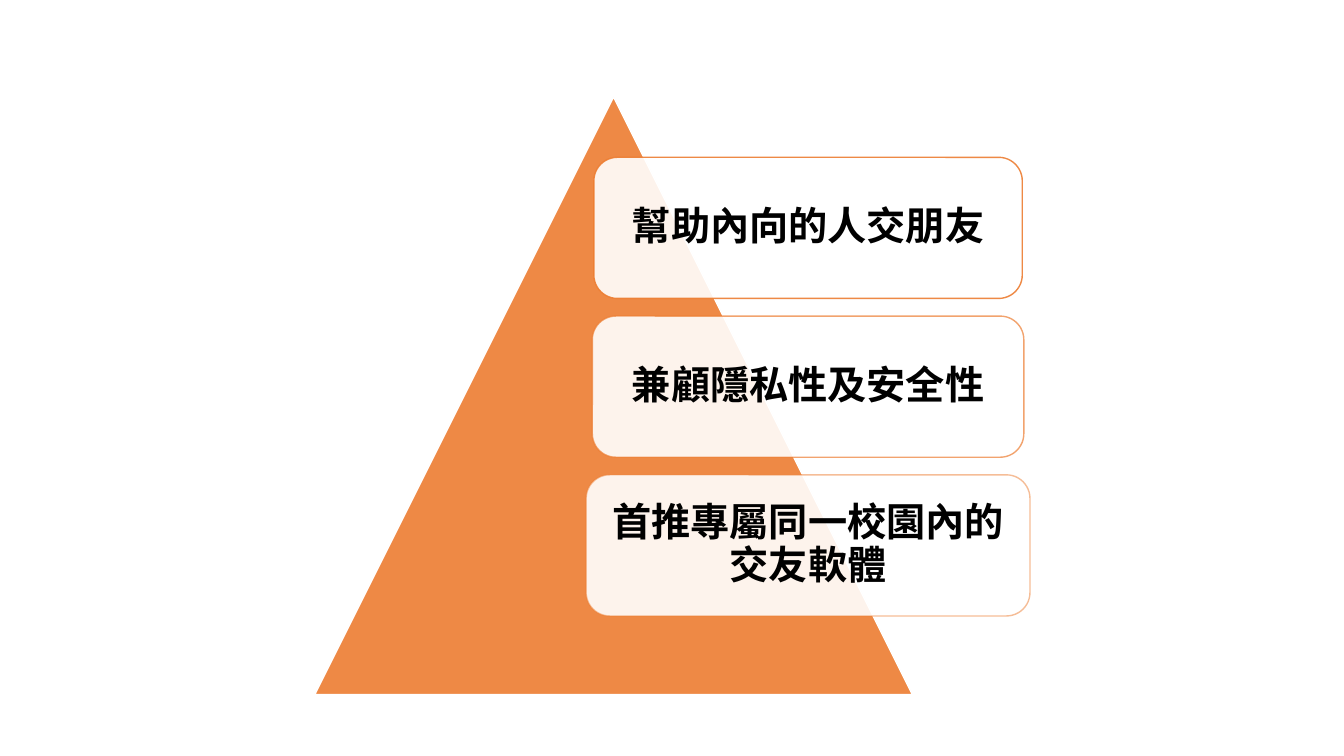
"""Build a slide with a pyramid and three goal boxes."""
from lxml import etree
from pptx import Presentation
from pptx.dml.color import RGBColor
from pptx.enum.shapes import MSO_SHAPE
from pptx.enum.text import MSO_ANCHOR, PP_ALIGN
from pptx.oxml.ns import qn
from pptx.util import Pt

TRIANGLE = MSO_SHAPE.ISOSCELES_TRIANGLE
ROUNDED = MSO_SHAPE.ROUNDED_RECTANGLE
MIDDLE = MSO_ANCHOR.MIDDLE
CENTER = PP_ALIGN.CENTER

FONT = "Noto Sans CJK SC"
COLORS = {"orange": "ED7D31", "white": "FFFFFF", "text": "000000"}
GOALS = [
    ("幫助內向的人交朋友", 306, 90),
    ("兼顧隱私性及安全性", 308.2, 70),
    ("首推專屬同一校園內的交友軟體", 317, 50),
]
PYRAMID = (224.8, 69.2, 427, 427)
BOX_CENTER, BOX_TOP, BOX_HEIGHT, BOX_PITCH = 577.2, 112.4, 100.8, 113.4
INSET = 8.64


def paint(fill, color, opacity):
    """Fill with a solid colour at an opacity in percent."""
    fill.solid()
    fill.fore_color.rgb = RGBColor.from_string(COLORS[color])
    if opacity < 100:
        clr = fill._xPr.find(qn("a:solidFill"))[0]
        etree.SubElement(clr, qn("a:alpha")).set("val", str(opacity * 1000))


def add_block(s, kind, box, fill, line):
    """Add a shape; fill and line are (colour, opacity) pairs."""
    sp = s.shapes.add_shape(kind, *(Pt(v) for v in box))
    sp.shadow.inherit = False
    paint(sp.fill, *fill)
    sp.line.width = Pt(1)
    paint(sp.line.fill, *line)
    return sp


def add_label(sp, text):
    """Write bold centred text inside a shape."""
    tf = sp.text_frame
    tf.word_wrap = True
    tf.vertical_anchor = MIDDLE
    tf.margin_left = tf.margin_right = Pt(INSET)
    tf.margin_top = tf.margin_bottom = Pt(INSET)
    p = tf.paragraphs[0]
    p.alignment = CENTER
    p.line_spacing = 0.9
    r = p.add_run()
    r.text = text
    r.font.name = FONT
    r.font.size = Pt(28)
    r.font.bold = True
    r.font.color.rgb = RGBColor.from_string(COLORS["text"])
    etree.SubElement(r.font._element, qn("a:ea")).set("typeface", FONT)


def main():
    """Draw the slide and save it."""
    prs = Presentation()
    prs.slide_width, prs.slide_height = Pt(960), Pt(540)
    s = prs.slides.add_slide(prs.slide_layouts[6])
    add_block(s, TRIANGLE, PYRAMID, ("orange", 90), ("white", 100))
    for i, (text, width, opacity) in enumerate(GOALS):
        box = (BOX_CENTER - width / 2, BOX_TOP + i * BOX_PITCH, width, BOX_HEIGHT)
        sp = add_block(s, ROUNDED, box, ("white", 90), ("orange", opacity))
        add_label(sp, text)
    prs.save("out.pptx")


if __name__ == "__main__":
    main()
